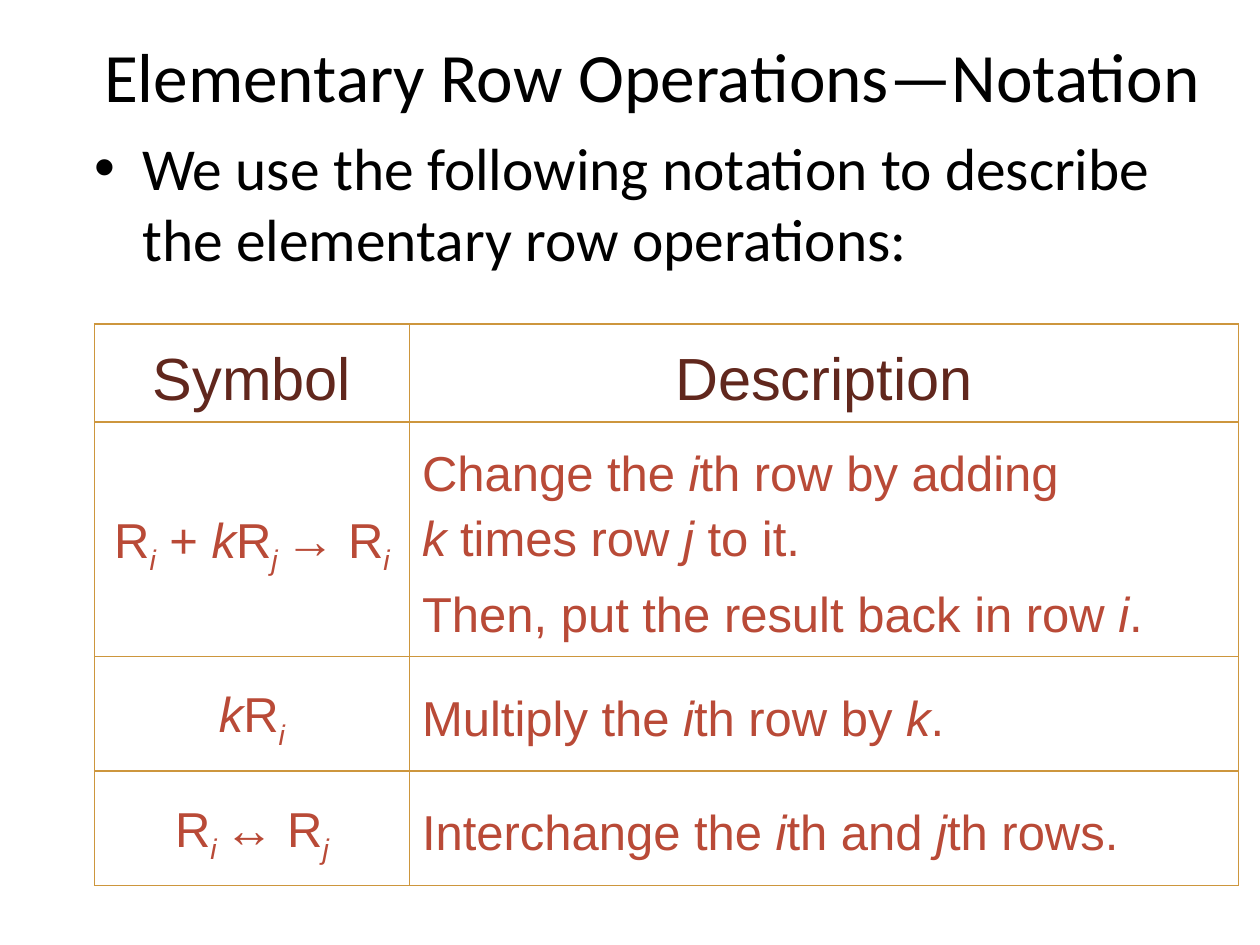
from lxml import etree
from pptx import Presentation
from pptx.dml.color import RGBColor
from pptx.enum.text import MSO_ANCHOR, MSO_AUTO_SIZE, PP_ALIGN
from pptx.oxml.ns import qn
from pptx.util import Inches, Pt

LEFT, MID = PP_ALIGN.LEFT, PP_ALIGN.CENTER
TOP, CENTER = MSO_ANCHOR.TOP, MSO_ANCHOR.MIDDLE
FIXED = MSO_AUTO_SIZE.NONE
TITLE_ONLY = 5
UNIT = Inches(0.1)  # the grid has 100 columns and 75 rows

COLORS = {"ink": "000000", "head": "61271D", "cell": "B94A37", "rule": "CD963D"}
FORMATS = {
    "title": {"name": "Calibri", "size": Pt(39.6), "color": "ink"},
    "body": {"name": "Calibri", "size": Pt(34), "color": "ink"},
    "head": {"name": "Arial", "size": Pt(34), "color": "head"},
    "cell": {"name": "Arial", "size": Pt(28), "color": "cell"},
}

# *x* is italic, _x_ is an italic subscript
ROWS = [
    ("Symbol", ["Description"]),
    ("R_i_ + *k*R_j _→ R_i_",
     ["Change the *i*th row by adding \n*k *times row *j *to it.",
      "Then, put the result back in row *i*."]),
    ("*k*R_i_", ["Multiply the *i*th row by *k*."]),
    ("R_i _↔ R_j_", ["Interchange the *i*th and *j*th rows."]),
]
WIDTHS = [25, 65.8]
HEIGHTS = [7.4, 17.4, 9.1, 9.1]


def grid(*cells):
    return [int(n * UNIT) for n in cells]


class Page:
    def __init__(self, deck):
        self.slide = deck.slides.add_slide(deck.slide_layouts[TITLE_ONLY])

    def run(self, para, text, kind, italic, sub):
        run = para.add_run()
        run.text = text
        for key, value in FORMATS[kind].items():
            if key == "color":
                run.font.color.rgb = RGBColor.from_string(COLORS[value])
            else:
                setattr(run.font, key, value)
        run.font.italic = italic
        if sub:
            run.font._element.set("baseline", "-25000")

    def fill(self, frame, texts, kind, align, gap=0.0, pitch=1.0):
        """Write paragraphs; gap is the space before as a share of the size."""
        for n, text in enumerate(texts):
            para = frame.add_paragraph() if n else frame.paragraphs[0]
            para.alignment, para.line_spacing = align, pitch
            para.space_before = int(gap * FORMATS[kind]["size"])
            for s, part in enumerate(text.split("_")):
                for i, bit in enumerate(part.split("*")):
                    for b, line in enumerate(bit.split("\n")):
                        if b:
                            para.add_line_break()
                        if line:
                            self.run(para, line, kind, bool(s % 2 or i % 2), s % 2)

    def title(self, text, *area):
        shape = self.slide.shapes.title
        shape.left, shape.top, shape.width, shape.height = grid(*area)
        frame = shape.text_frame
        frame.auto_size, frame.vertical_anchor = FIXED, CENTER
        self.fill(frame, [text], "title", MID)

    def bullet(self, text, *area):
        frame = self.slide.shapes.add_textbox(*grid(*area)).text_frame
        frame.word_wrap, frame.vertical_anchor = True, TOP
        self.fill(frame, [text], "body", LEFT, 0.2)
        props = frame.paragraphs[0]._p.get_or_add_pPr()
        props.set("marL", str(Inches(0.38)))
        props.set("indent", str(-Inches(0.38)))
        etree.SubElement(props, qn("a:buFont")).set("typeface", "Arial")
        etree.SubElement(props, qn("a:buChar")).set("char", "•")

    def border(self, cell):
        props = cell._tc.get_or_add_tcPr()
        for n, side in enumerate("LRTB"):
            line = etree.Element(qn("a:ln" + side), w=str(Pt(1)))
            paint = etree.SubElement(line, qn("a:solidFill"))
            etree.SubElement(paint, qn("a:srgbClr")).set("val", COLORS["rule"])
            props.insert(n, line)

    def table(self, rows, widths, heights, left, top):
        area = grid(left, top, sum(widths), sum(heights))
        table = self.slide.shapes.add_table(len(rows), len(widths), *area).table
        table.horz_banding = table.first_row = False
        for col, width in zip(table.columns, grid(*widths)):
            col.width = width
        for row, height in zip(table.rows, grid(*heights)):
            row.height = height
        for r, (symbol, notes) in enumerate(rows):
            for c, texts in enumerate(([symbol], notes)):
                cell = table.cell(r, c)
                cell.fill.background()
                cell.vertical_anchor = CENTER
                self.border(cell)
                align = LEFT if r and c else MID
                kind = "cell" if r else "head"
                self.fill(cell.text_frame, texts, kind, align, 0.2, 1.2)


def main():
    deck = Presentation()
    deck.slide_width, deck.slide_height = grid(100, 75)
    page = Page(deck)
    page.title("Elementary Row Operations—Notation", 3.5, -0.3, 96.5, 12.5)
    page.bullet("We use the following notation to describe the elementary "
                "row operations:", 6.5, 9.9, 92.5, 64.1)
    page.table(ROWS, WIDTHS, HEIGHTS, 7.5, 25.7)
    deck.save("out.pptx")


if __name__ == "__main__":
    main()
